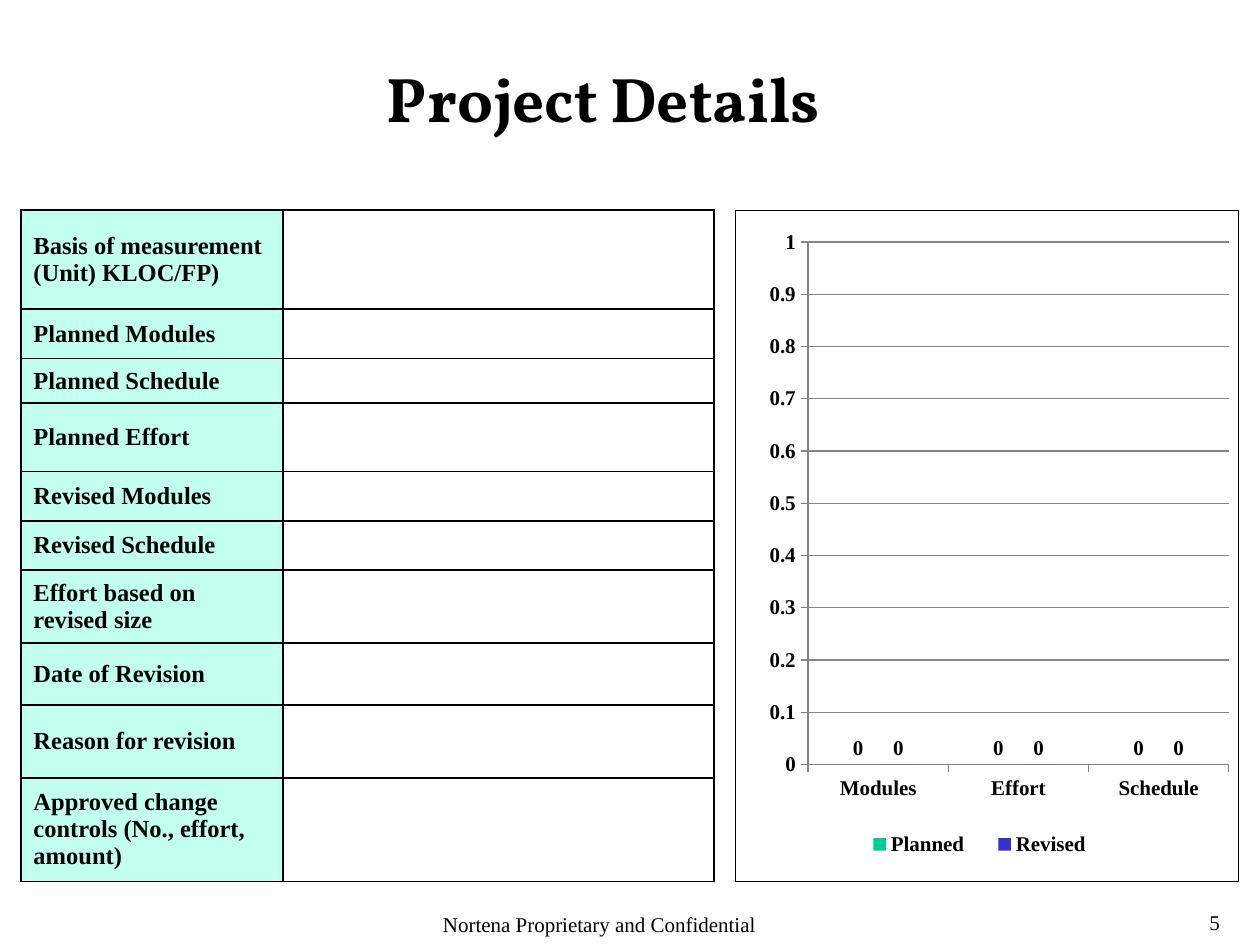
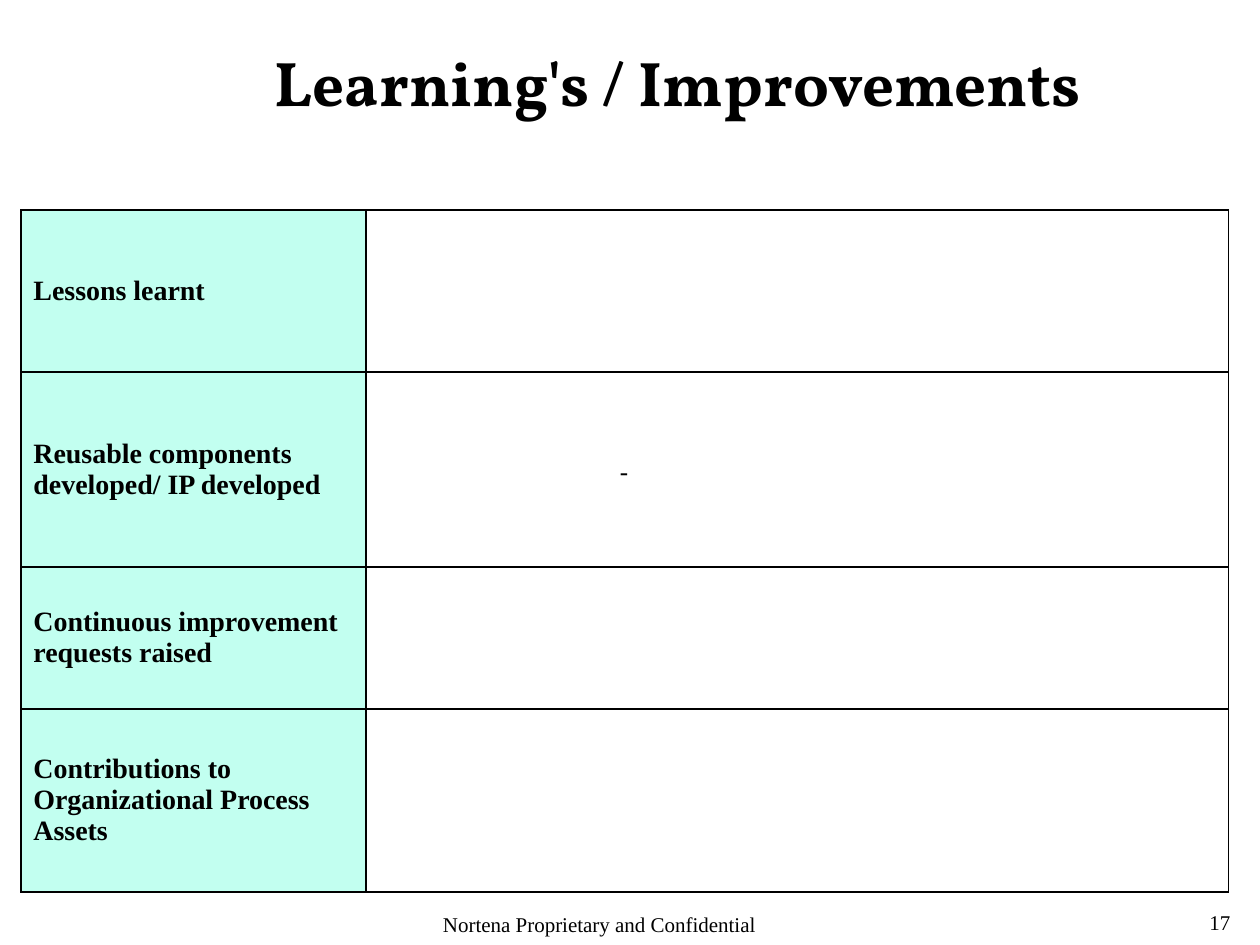
from lxml import etree
from pptx import Presentation
from pptx import util as u
from pptx.chart.data import CategoryChartData
from pptx.dml.color import RGBColor
from pptx.enum import chart as charts, text
from pptx.oxml import parse_xml
from pptx.oxml.ns import nsdecls, qn

BLACK, MINT, GREY = "000000", "C2FFF0", "868686"
SERIES_COLORS = {"Planned": "00CC99", "Revised": "3333CC"}
BODY_FONT, TITLE_FONT = "Times New Roman", "Vollkorn"
FOOTER = "Nortena Proprietary and Confidential"
TABLE_LEFT, TABLE_TOP = 0.42, 4.23


def color(value):
    """Turn a hex string into a colour."""
    return RGBColor.from_string(value)


def set_font(font, size, name=BODY_FONT, bold=False):
    """Apply the black text style."""
    font.size, font.name, font.bold = u.Pt(size), name, bold
    font.color.rgb = color(BLACK)


def set_layout(parent, index, x, y, width, height, inner=False):
    """Fix the place of a chart part as fractions of the chart."""
    for old in parent.findall(qn("c:layout")):
        parent.remove(old)
    target = '<c:layoutTarget val="inner"/>' if inner else ""
    parts = "".join(f'<c:{tag} val="{value}"/>' for tag, value in
                    (("xMode", "edge"), ("yMode", "edge"), ("x", x),
                     ("y", y), ("w", width), ("h", height)))
    parent.insert(index, parse_xml(
        f'<c:layout {nsdecls("c")}><c:manualLayout>{target}{parts}'
        '</c:manualLayout></c:layout>'))


class ReviewDeck:
    """Hold the shared style and the current slide."""

    def __init__(self):
        """Start a 4:3 deck."""
        self.deck = Presentation()
        self.deck.slide_width, self.deck.slide_height = u.Cm(25.4), u.Cm(19.05)
        self.page = None

    def add_page(self, title, number, left, top, width):
        """Add a slide with its title, page number and footer."""
        self.page = self.deck.slides.add_slide(self.deck.slide_layouts[5])
        box = self.page.shapes.title
        box.left, box.top, box.width, box.height = map(
            u.Cm, (left, top, width, 1.8))
        frame = box.text_frame
        frame.text = title
        frame.auto_size = text.MSO_AUTO_SIZE.NONE
        frame.vertical_anchor = text.MSO_ANCHOR.TOP
        para = frame.paragraphs[0]
        para.alignment = text.PP_ALIGN.CENTER
        set_font(para.font, 36, TITLE_FONT, True)
        self.add_text(str(number), 24.13, 18.22, 1.27, 0.83)
        self.add_text(FOOTER, 8.68, 18.26, 8.02, 0.8)

    def add_text(self, words, left, top, width, height, size=12, font=BODY_FONT):
        """Add a one-line text box."""
        box = self.page.shapes.add_textbox(
            *map(u.Cm, (left, top, width, height)))
        frame = box.text_frame
        frame.word_wrap = True
        frame.text = words
        set_font(frame.paragraphs[0].font, size, font)

    def add_form(self, rows, widths, size):
        """Add a form table of labels and blank fields."""
        heights = [height for _, height in rows]
        table = self.page.shapes.add_table(
            len(rows), len(widths), u.Cm(TABLE_LEFT), u.Cm(TABLE_TOP),
            u.Cm(sum(widths)), u.Cm(sum(heights))).table
        table.first_row = table.horz_banding = False
        for column, width in zip(table.columns, widths):
            column.width = u.Cm(width)
        for row, (label, height) in zip(table.rows, rows):
            row.height = u.Cm(height)
            label_cell, field_cell = row.cells
            label_cell.text = label
            for cell in (label_cell, field_cell):
                self.style_cell(cell, size)
            label_cell.fill.solid()
            label_cell.fill.fore_color.rgb = color(MINT)
            field_cell.fill.background()

    def style_cell(self, cell, size):
        """Set the text style and the borders of a cell."""
        cell.vertical_anchor = text.MSO_ANCHOR.MIDDLE
        cell.margin_top = cell.margin_bottom = 0
        set_font(cell.text_frame.paragraphs[0].font, size, bold=True)
        properties = cell._tc.get_or_add_tcPr()
        for side in "LRTB":
            line = etree.SubElement(properties, qn(f"a:ln{side}"), w=str(u.Pt(1)))
            fill = etree.SubElement(line, qn("a:solidFill"))
            etree.SubElement(fill, qn("a:srgbClr"), val=BLACK)

    def add_columns(self, categories, series, left, top, width, height):
        """Add a framed clustered column chart."""
        data = CategoryChartData()
        data.categories = categories
        for name, values in series.items():
            data.add_series(name, values)
        chart = self.page.shapes.add_chart(
            charts.XL_CHART_TYPE.COLUMN_CLUSTERED,
            *map(u.Cm, (left, top, width, height)), data).chart
        chart.has_title = False
        set_font(chart.font, 12, bold=True)
        self.style_axes(chart)
        plot = chart.plots[0]
        plot.gap_width, plot.overlap = 150, 0
        plot.vary_by_categories = False
        for item in plot.series:
            item.format.fill.solid()
            item.format.fill.fore_color.rgb = color(SERIES_COLORS[item.name])
            item.data_labels.show_value = True
            item.data_labels.position = charts.XL_LABEL_POSITION.OUTSIDE_END
        chart.has_legend = True
        chart.legend.position = charts.XL_LEGEND_POSITION.BOTTOM
        chart.legend.include_in_layout = False
        space = chart.element
        body = space.find(qn("c:chart"))
        set_layout(body.find(qn("c:plotArea")), 0, 0.144, 0.047, 0.837, 0.779, True)
        set_layout(body.find(qn("c:legend")), 1, 0.22, 0.92, 0.53, 0.05)
        body.addnext(parse_xml(
            f'<c:spPr {nsdecls("c", "a")}><a:noFill/><a:ln w="{u.Pt(0.75)}">'
            f'<a:solidFill><a:srgbClr val="{BLACK}"/></a:solidFill></a:ln></c:spPr>'))

    def style_axes(self, chart):
        """Set the scale, ticks and grey lines."""
        scale = chart.value_axis
        scale.minimum_scale, scale.maximum_scale, scale.major_unit = 0, 1, 0.1
        scale.has_major_gridlines = True
        for axis in (scale, chart.category_axis):
            axis.major_tick_mark = charts.XL_TICK_MARK.OUTSIDE
        for part in (scale, chart.category_axis, scale.major_gridlines):
            part.format.line.color.rgb = color(GREY)
            part.format.line.width = u.Pt(0.75)


def main():
    """Build both slides."""
    review = ReviewDeck()
    review.add_page("Project Details", 5, 3.81, 1.07, 16.71)
    review.add_form([
        ("Basis of measurement (Unit) KLOC/FP)", 2),
        ("Planned Modules", 1),
        ("Planned Schedule", 0.89),
        ("Planned Effort", 1.39),
        ("Revised Modules", 0.99),
        ("Revised Schedule", 0.99),
        ("Effort based on revised size", 1.47),
        ("Date of Revision", 1.25),
        ("Reason for revision", 1.47),
        ("Approved change controls (No., effort, amount)", 2.09),
    ], (5.28, 8.69), 14)
    review.add_columns(("Modules", "Effort", "Schedule"),
                       {name: (0, 0, 0) for name in SERIES_COLORS},
                       14.82, TABLE_TOP, 10.16, 13.55)

    review.add_page("Learning's / Improvements", 17, 4.45, 0.74, 18.42)
    review.add_text("-", 12.24, 9.09, 0.91, 0.86, 14, "DejaVu Sans")
    review.add_form([
        ("Lessons learnt", 3.27),
        ("Reusable components developed/ IP developed", 3.93),
        ("Continuous improvement requests raised", 2.86),
        ("Contributions to Organizational Process Assets", 3.69),
    ], (6.96, 17.38), 16)
    review.deck.save("out.pptx")


if __name__ == "__main__":
    main()
